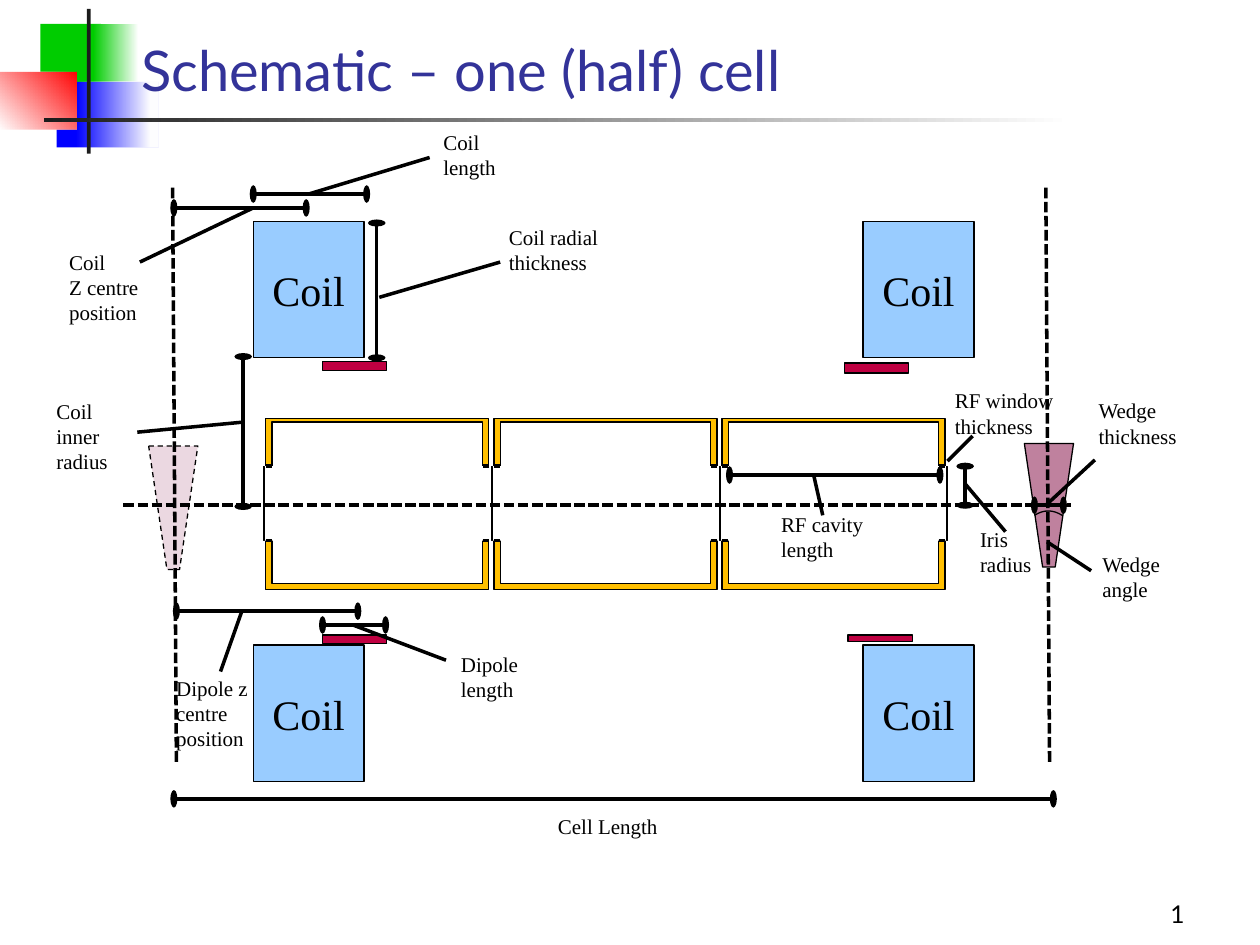
from dataclasses import dataclass
from typing import NamedTuple

from lxml import etree
from pptx import Presentation
from pptx.dml.color import RGBColor
from pptx.enum.dml import MSO_LINE
from pptx.enum.shapes import MSO_CONNECTOR, MSO_SHAPE
from pptx.enum.text import MSO_ANCHOR, MSO_AUTO_SIZE, PP_ALIGN
from pptx.oxml.ns import qn
from pptx.util import Inches, Pt

RECT, STRAIGHT = MSO_SHAPE.RECTANGLE, MSO_CONNECTOR.STRAIGHT
DASH, SYS_DASH = MSO_LINE.DASH, MSO_LINE.SQUARE_DOT
LEFT, CENTER, RIGHT = PP_ALIGN.LEFT, PP_ALIGN.CENTER, PP_ALIGN.RIGHT
TOP, MIDDLE, BOTTOM = MSO_ANCHOR.TOP, MSO_ANCHOR.MIDDLE, MSO_ANCHOR.BOTTOM
FIT, FIXED = MSO_AUTO_SIZE.SHAPE_TO_FIT_TEXT, MSO_AUTO_SIZE.NONE

# The slide is a grid of square cells
COLS, ROWS, CELL = 10, 7.5, Inches(1)


@dataclass(frozen=True)
class Theme:
    ink: str = "000000"
    paper: str = "FFFFFF"
    title: str = "333399"
    bar: str = "1C1C1C"
    green: str = "00CC00"
    blue: str = "0000FF"
    red: str = "FF0000"
    coil: str = "99CCFF"
    cavity: str = "FFBF00"
    dipole: str = "BF0041"
    wedge: str = "BF819E"
    sans: str = "Lato"
    serif: str = "Times New Roman"
    title_pt: int = 32
    coil_pt: int = 24
    page_pt: int = 14
    label_pt: int = 12
    hairline: int = 0


T = Theme()


class Box(NamedTuple):
    col: float
    row: float
    cols: float
    rows: float


class Line(NamedTuple):
    col1: float
    row1: float
    col2: float
    row2: float


class Label(NamedTuple):
    text: str
    box: Box


class Stop(NamedTuple):
    pos: int
    color: str
    alpha: int = 100


def grid(*cells: float) -> list[int]:
    return [round(c * CELL) for c in cells]


def outline(line, dash=None) -> None:
    line.color.rgb = RGBColor.from_string(T.ink)
    line.width = Pt(T.hairline)
    if dash:
        line.dash_style = dash


def rect(shapes, box: Box, fill: str, outlined: bool = True):
    sp = shapes.add_shape(RECT, *grid(*box))
    sp.shadow.inherit = False
    sp.fill.solid()
    sp.fill.fore_color.rgb = RGBColor.from_string(fill)
    if outlined:
        outline(sp.line)
    else:
        sp.line.fill.background()
    return sp


def fade(shapes, box: Box, angle: int, *stops: Stop) -> None:
    sp = rect(shapes, box, T.paper, outlined=False)
    solid = sp._element.spPr.find(qn("a:solidFill"))
    grad = etree.Element(qn("a:gradFill"), rotWithShape="1")
    gs_list = etree.SubElement(grad, qn("a:gsLst"))
    for stop in stops:
        gs = etree.SubElement(gs_list, qn("a:gs"), pos=str(stop.pos * 1000))
        clr = etree.SubElement(gs, qn("a:srgbClr"), val=stop.color)
        if stop.alpha < 100:
            etree.SubElement(clr, qn("a:alpha"), val=str(stop.alpha * 1000))
    etree.SubElement(grad, qn("a:lin"), ang=str(angle * 60000), scaled="0")
    solid.getparent().replace(solid, grad)


def line(shapes, ends: Line, dash=None, measure: bool = False) -> None:
    cx = shapes.add_connector(STRAIGHT, *grid(*ends))
    outline(cx.line, dash)
    if measure:
        ln = cx.line._get_or_add_ln()
        for end in ("a:headEnd", "a:tailEnd"):
            etree.SubElement(ln, qn(end), type="oval", w="lg", len="sm")
    etree.SubElement(cx._element.spPr, qn("a:effectLst"))


def write(sp, text: str, size: int, font: str, color: str, align=LEFT,
          anchor=TOP, wrap: bool = False, fit=FIXED) -> None:
    tf = sp.text_frame
    tf.text = text
    tf.word_wrap, tf.auto_size, tf.vertical_anchor = wrap, fit, anchor
    for p in tf.paragraphs:
        p.alignment = align
        for r in p.runs:
            r.font.size, r.font.name = Pt(size), font
            r.font.color.rgb = RGBColor.from_string(color)


def outline_path(shapes, points: list, closed: bool):
    start, *rest = [grid(*pt) for pt in points]
    fb = shapes.build_freeform(*start)
    fb.add_line_segments(rest, close=closed)
    sp = fb.convert_to_shape()
    sp.shadow.inherit = False
    sp.fill.background()
    outline(sp.line)
    return sp


def wedge(shapes, col: float, row: float, alpha: int = 100, dash=None) -> None:
    top, inset, depth = 0.39, 0.145, 0.98
    sp = outline_path(shapes, [(col, row), (col + top, row), (col + top - inset, row + depth),
                               (col + inset, row + depth)], closed=True)
    sp.fill.solid()
    sp.fill.fore_color.rgb = RGBColor.from_string(T.wedge)
    clr = sp._element.spPr.find(qn("a:solidFill"))[0]
    if alpha < 100:
        etree.SubElement(clr, qn("a:alpha"), val=str(alpha * 1000))
    outline(sp.line, dash)


def window(shapes, col: float) -> None:
    rect(shapes, Box(col - 0.02, IRIS_TOP, 0.01, IRIS_ROWS), T.coil)


def cavity(shapes, col: float) -> None:
    rect(shapes, Box(col, 3.32, 1.77, 1.36), T.cavity)
    rect(shapes, Box(col + 0.05, 3.35, 1.67, 1.28), T.paper)
    for opening, edge in ((col - 0.01, col), (col + 1.71, col + 1.72)):
        rect(shapes, Box(opening, IRIS_TOP, 0.08, IRIS_ROWS), T.paper, outlined=False)
        for row in (IRIS_TOP, IRIS_TOP + IRIS_ROWS):
            line(shapes, Line(edge, row, edge + 0.05, row))
    window(shapes, col)


AXIS = 4.01
IRIS_TOP, IRIS_ROWS = 3.7, 0.59
CAVITY_COL, CAVITY_PITCH, CAVITIES = 2.11, 1.81, 3
COIL_COLS, COIL_ROWS = (2.01, 6.85), (1.76, 5.12)
DIPOLES = [Box(2.56, 2.87, 0.51, 0.07), Box(2.56, 5.04, 0.51, 0.07),
           Box(6.73, 5.04, 0.51, 0.05), Box(6.7, 2.88, 0.51, 0.08)]
AXES = [Line(1.37, 1.49, 1.4, 6.05), Line(8.3, 1.49, 8.33, 6.05), Line(0.98, AXIS, 8.5, AXIS)]
MEASURES = [
    Line(8.21, AXIS, 8.44, AXIS), Line(5.79, 3.77, 7.46, 3.77), Line(7.66, AXIS, 7.66, 3.7),
    Line(1.93, 4.02, 1.93, 2.83), Line(2.99, 2.84, 2.99, 1.77), Line(1.38, 1.65, 2.43, 1.65),
    Line(2.01, 1.54, 2.91, 1.54), Line(2.84, 4.85, 1.4, 4.85), Line(3.06, 4.96, 2.56, 4.96),
    Line(1.38, 6.34, 8.36, 6.34)]
LEADERS = [
    Line(8.69, 3.65, 8.3, AXIS), Line(8.66, 4.53, 8.31, 4.3), Line(7.72, 3.46, 7.52, 3.66),
    Line(6.53, 4.09, 6.46, 3.78), Line(7.66, 3.84, 7.98, 4.22), Line(2.8, 4.96, 3.54, 5.24),
    Line(1.92, 4.85, 1.75, 5.33), Line(3.97, 2.08, 3.01, 2.36), Line(1.93, 3.35, 1.09, 3.43),
    Line(3.41, 1.25, 2.45, 1.54), Line(2.01, 1.65, 1.11, 2.08)]
LABELS = [
    Label("Wedge\nthickness", Box(8.62, 3.11, 0.82, 0.63)),
    Label("Wedge\nangle", Box(8.65, 4.33, 0.73, 0.63)),
    Label("RF window\nthickness", Box(7.48, 3.03, 0.98, 0.63)),
    Label("RF cavity\nlength", Box(6.1, 4.01, 0.85, 0.63)),
    Label("Iris\nradius", Box(7.68, 4.13, 0.73, 0.63)),
    Label("Coil radial\nthickness", Box(3.94, 1.73, 0.91, 0.63)),
    Label("Coil\nlength", Box(3.42, 0.98, 0.73, 0.63)),
    Label("Coil\nZ centre\nposition", Box(0.45, 1.93, 0.75, 0.65)),
    Label("Coil\ninner\nradius", Box(0.35, 3.11, 0.73, 0.65)),
    Label("Dipole z\ncentre\nposition", Box(1.3, 5.31, 0.77, 0.65)),
    Label("Dipole\nlength", Box(3.56, 5.12, 0.73, 0.63)),
    Label("Cell Length", Box(4.33, 6.41, 0.99, 0.28))]


def decorate(shapes) -> None:
    clear = Stop(100, T.paper, 0)
    rect(shapes, Box(0.32, 0.19, 0.48, 0.52), T.green, outlined=False)
    fade(shapes, Box(0.74, 0.19, 0.36, 0.52), 180, Stop(0, T.paper), Stop(100, T.green))
    rect(shapes, Box(0.45, 0.65, 0.81, 0.52), T.blue, outlined=False)
    fade(shapes, Box(0.61, 0.65, 0.65, 0.52), 180, Stop(10, T.paper), clear)
    rect(shapes, Box(0, 0.57, 0.61, 0.46), T.red, outlined=False)
    rect(shapes, Box(0.69, 0.07, 0.03, 1.15), T.bar, outlined=False)
    fade(shapes, Box(0, 0.57, 0.61, 0.46), 315, Stop(0, T.paper), clear)
    fade(shapes, Box(0.35, 0.94, 8.15, 0.03), 180, Stop(0, T.paper), Stop(100, T.bar))


def main() -> None:
    prs = Presentation()
    prs.slide_width, prs.slide_height = grid(COLS, ROWS)
    s = prs.slides.add_slide(prs.slide_layouts[5])
    shapes = s.shapes

    # Corner ornament, with the title in front of it
    decorate(shapes)
    title = shapes.title
    title.left, title.top, title.width, title.height = grid(1.12, -0.08, 8.52, 1.25)
    write(title, "Schematic – one (half) cell", T.title_pt, T.sans, T.title, anchor=MIDDLE, wrap=True)
    tf = title.text_frame
    tf.margin_left = tf.margin_right = tf.margin_top = tf.margin_bottom = 0
    shapes._spTree.append(title._element)

    # Cavities, coils and dipoles
    for i in range(CAVITIES):
        cavity(shapes, CAVITY_COL + i * CAVITY_PITCH)
    window(shapes, CAVITY_COL + CAVITIES * CAVITY_PITCH - 0.01)
    for row in COIL_ROWS:
        for col in COIL_COLS:
            sp = rect(shapes, Box(col, row, 0.88, 1.08), T.coil)
            write(sp, "Coil", T.coil_pt, T.serif, T.ink, CENTER, MIDDLE)
    for box in DIPOLES:
        rect(shapes, box, T.dipole)

    # Wedges and the angle arc
    wedge(shapes, 8.13, 3.52)
    wedge(shapes, 1.18, 3.54, alpha=30, dash=DASH)
    steps = [i / 8 for i in range(9)]
    outline_path(shapes, [(8.21 + 0.22 * t, 4.09 - 0.14 * t * (1 - t)) for t in steps], closed=False)

    # Axes, dimensions and leaders
    for ends in AXES:
        line(shapes, ends, dash=SYS_DASH)
    for ends in MEASURES:
        line(shapes, ends, measure=True)
    for ends in LEADERS:
        line(shapes, ends)

    # Labels and page number
    for label in LABELS:
        sp = shapes.add_textbox(*grid(*label.box))
        write(sp, label.text, T.label_pt, T.serif, T.ink, fit=FIT)
    page = shapes.add_textbox(*grid(7.42, 6.92, 2.08, 0.5))
    write(page, "1", T.page_pt, T.sans, T.ink, RIGHT, BOTTOM, wrap=True)

    prs.save("out.pptx")


if __name__ == "__main__":
    main()
